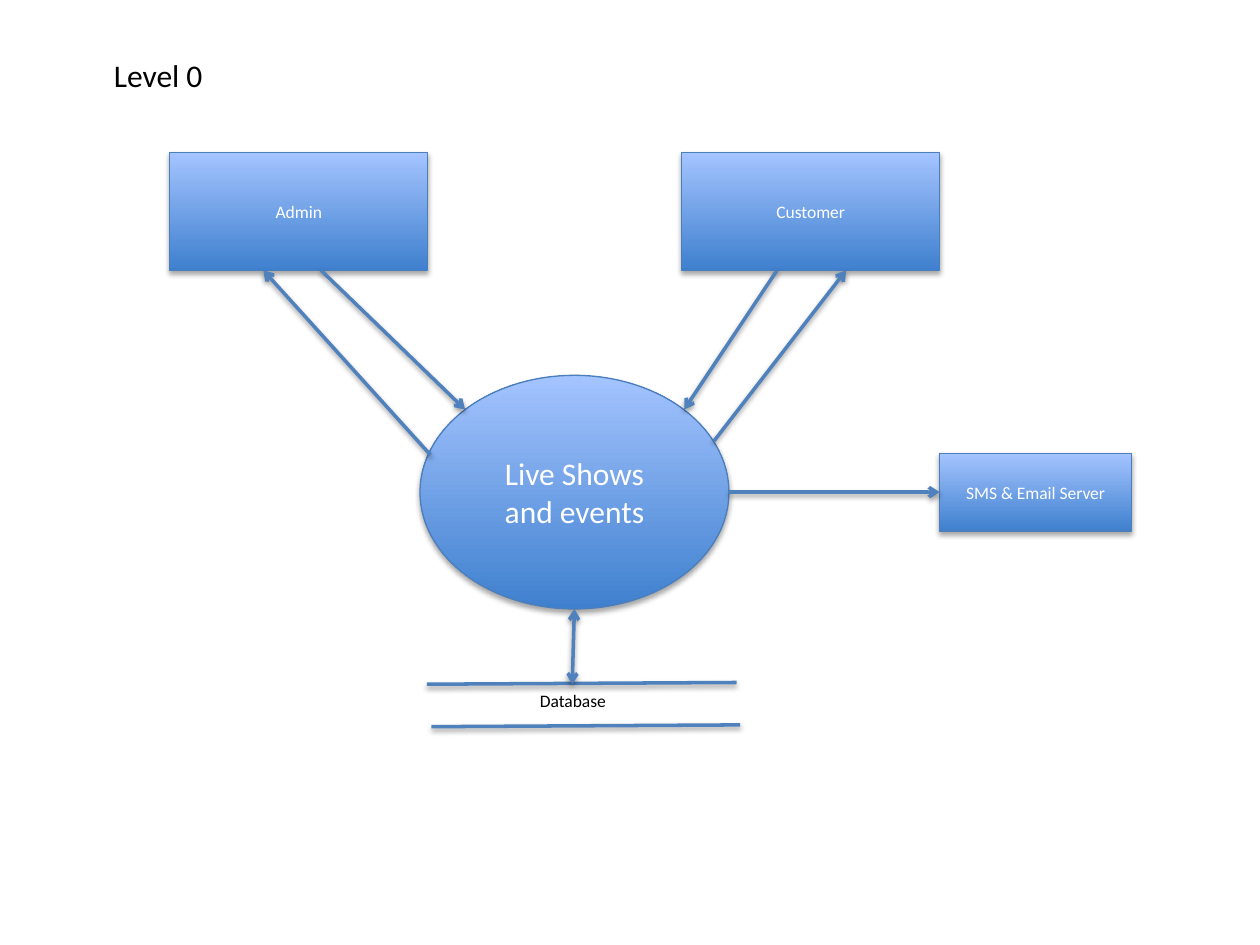
"""Build the level 0 data flow diagram of a live show booking system."""
from lxml import etree
from pptx import Presentation
from pptx.dml.color import RGBColor
from pptx.enum.shapes import MSO_CONNECTOR, MSO_SHAPE
from pptx.enum.text import MSO_ANCHOR, MSO_AUTO_SIZE, PP_ALIGN
from pptx.oxml.ns import qn
from pptx.util import Pt

RECTANGLE, ELLIPSE = MSO_SHAPE.RECTANGLE, MSO_SHAPE.OVAL
STRAIGHT = MSO_CONNECTOR.STRAIGHT
CENTER, LEFT = PP_ALIGN.CENTER, PP_ALIGN.LEFT
MIDDLE, TOP = MSO_ANCHOR.MIDDLE, MSO_ANCHOR.TOP
GROW = MSO_AUTO_SIZE.SHAPE_TO_FIT_TEXT
COLORS = {
    "gradient_bottom": "3F80CE",
    "gradient_top": "A4C4FF",
    "outline": "4B7EBC",
    "flow": "4F81BD",
    "light_text": "FFFFFF",
    "dark_text": "000000",
    "shadow": "000000",
}


def write_text(shape, text, size, color, alignment, frame_format):
    frame = shape.text_frame
    for name, value in frame_format.items():
        setattr(frame, name, value)
    para = frame.paragraphs[0]
    para.alignment = alignment
    span = para.add_run()
    span.text = text
    font_format = {"name": "Calibri", "size": Pt(size)}
    for name, value in font_format.items():
        setattr(span.font, name, value)
    span.font.color.rgb = RGBColor.from_string(COLORS[color])


def add_shadow(properties, distance, opacity):
    effects = properties.find(qn("a:effectLst"))
    if effects is None:
        effects = etree.SubElement(properties, qn("a:effectLst"))
    shadow = etree.SubElement(
        effects, qn("a:outerShdw"), blurRad=str(Pt(3.1)),
        dist=str(Pt(distance)), dir="5400000", rotWithShape="0")
    color = etree.SubElement(shadow, qn("a:srgbClr"), val=COLORS["shadow"])
    etree.SubElement(color, qn("a:alpha"), val=str(opacity * 1000))


deck = Presentation()
deck.slide_width, deck.slide_height = Pt(720), Pt(540)
page = deck.slides.add_slide(deck.slide_layouts[6])

nodes = [
    ("Admin", RECTANGLE, 10, (97, 87, 147.5, 67.5)),
    ("Customer", RECTANGLE, 10, (389.5, 87, 147.5, 67.5)),
    ("Live Shows and events", ELLIPSE, 18, (240, 214.5, 176.5, 133.5)),
    ("SMS & Email Server", RECTANGLE, 10, (537, 259, 109.5, 44.5)),
]
for text, kind, size, bounds in nodes:
    node = page.shapes.add_shape(kind, *map(Pt, bounds))
    node.fill.gradient()
    node.fill.gradient_angle = 90
    for stop, color in zip(node.fill.gradient_stops, ("gradient_bottom", "gradient_top")):
        stop.color.rgb = RGBColor.from_string(COLORS[color])
    node.line.color.rgb = RGBColor.from_string(COLORS["outline"])
    node.line.width = Pt(0.75)
    node.shadow.inherit = False
    add_shadow(node.element.spPr, 1.8, 35)
    write_text(node, text, size, "light_text", CENTER,
               {"word_wrap": True, "vertical_anchor": MIDDLE})

flows = [
    ((244, 391), (421, 390), ()),
    ((246.5, 415.25), (423, 414.25), ()),
    ((183.5, 154.5), (265.75, 234), ("tailEnd",)),
    ((246, 260), (150.5, 154.5), ("tailEnd",)),
    ((444, 154.5), (391, 234), ("tailEnd",)),
    ((408, 252), (483.5, 154.5), ("tailEnd",)),
    ((328.25, 348), (327, 391), ("headEnd", "tailEnd")),
    ((416.5, 281.25), (537, 281.25), ("tailEnd",)),
]
for start, end, arrowheads in flows:
    flow = page.shapes.add_connector(STRAIGHT, *map(Pt, start + end))
    flow.line.color.rgb = RGBColor.from_string(COLORS["flow"])
    flow.line.width = Pt(2)
    outline = flow.element.spPr.find(qn("a:ln"))
    for arrowhead in arrowheads:
        etree.SubElement(outline, qn(f"a:{arrowhead}"), type="arrow")
    add_shadow(flow.element.spPr, 1.6, 38)

labels = [
    ("Database", 10, True, (301.5, 391, 72, 19.5)),
    ("Level 0", 18, False, (58, 28.5, 66, 29)),
]
for text, size, wrap, bounds in labels:
    box = page.shapes.add_textbox(*map(Pt, bounds))
    write_text(box, text, size, "dark_text", LEFT,
               {"word_wrap": wrap, "vertical_anchor": TOP, "auto_size": GROW})

deck.save("out.pptx")
